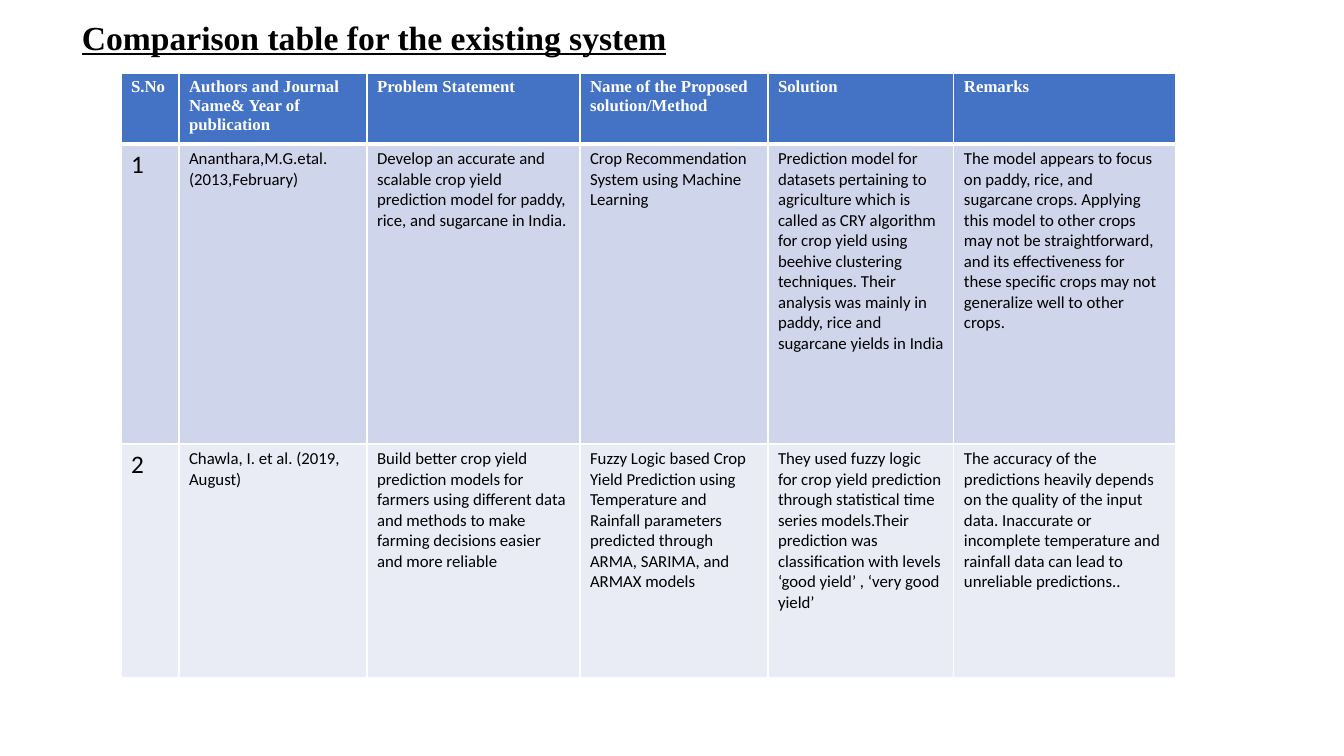
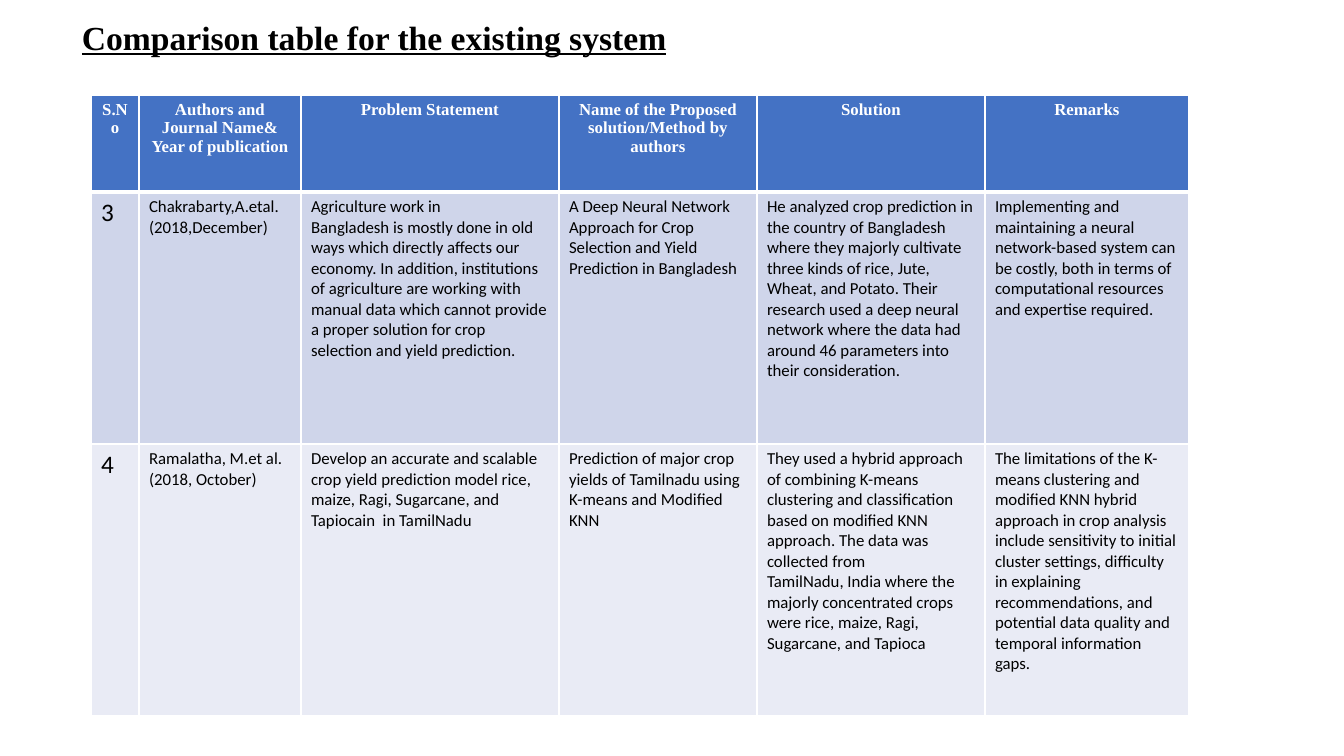
from lxml import etree
from pptx import Presentation
from pptx.dml.color import RGBColor
from pptx.enum.text import MSO_ANCHOR, PP_ALIGN
from pptx.oxml.ns import qn
from pptx.util import Emu, Pt

LEFT, CENTER = PP_ALIGN.LEFT, PP_ALIGN.CENTER
TOP = MSO_ANCHOR.TOP

TITLE = "Comparison table for the existing system"
TABLES = [
    {
        "origin": (121, 73),
        "columns": (58, 188, 213, 188, 186, 222),
        "heights": (71, 300, 234),
        "header_align": LEFT,
        "rows": [
            ("S.No", "Authors and Journal Name& Year of publication", "Problem Statement",
             "Name of the Proposed solution/Method", "Solution", "Remarks"),
            ("1", "Ananthara,M.G.etal.(2013,February)",
             "Develop an accurate and scalable crop yield prediction model for paddy, rice, "
             "and sugarcane in India.",
             "Crop Recommendation System using Machine Learning",
             "Prediction model for datasets pertaining to agriculture which is called as CRY "
             "algorithm for crop yield using beehive clustering techniques. Their analysis was "
             "mainly in paddy, rice and sugarcane yields in India",
             "The model appears to focus on paddy, rice, and sugarcane crops. Applying this "
             "model to other crops may not be straightforward, and its effectiveness for these "
             "specific crops may not generalize well to other crops."),
            ("2", "Chawla, I. et al. (2019, August)",
             "Build better crop yield prediction models for farmers using different data and "
             "methods to make farming decisions easier and more reliable",
             "Fuzzy Logic based Crop Yield Prediction using Temperature and Rainfall parameters "
             "predicted through ARMA, SARIMA, and ARMAX models",
             "They used fuzzy logic for crop yield prediction through statistical time series "
             "models.Their prediction was classification with levels ‘good yield’ , "
             "‘very good yield’",
             "The accuracy of the predictions heavily depends on the quality of the input data. "
             "Inaccurate or incomplete temperature and rainfall data can lead to unreliable "
             "predictions.."),
        ],
    },
    {
        "origin": (91, 95),
        "columns": (48, 162, 258, 198, 228, 204),
        "heights": (97, 252, 272),
        "header_align": CENTER,
        "rows": [
            ("S.No", "Authors and Journal Name& Year of publication", "Problem Statement",
             "Name of the Proposed solution/Method by authors", "Solution", "Remarks"),
            ("3", "Chakrabarty,A.etal.(2018,December)",
             "Agriculture work in\nBangladesh is mostly done in old ways which directly affects "
             "our economy. In addition, institutions of agriculture are working with manual data "
             "which cannot provide a proper solution for crop selection and yield prediction.",
             "A Deep Neural Network Approach for Crop Selection and Yield Prediction in Bangladesh",
             "He analyzed crop prediction in the country of Bangladesh where they majorly "
             "cultivate three kinds of rice, Jute, Wheat, and Potato. Their research used a deep "
             "neural network where the data had around 46 parameters into their consideration.",
             "Implementing and maintaining a neural network-based system can be costly, both in "
             "terms of computational resources and expertise required."),
            ("4", "Ramalatha, M.et al. (2018, October)",
             "Develop an accurate and scalable crop yield prediction model rice, maize, Ragi, "
             "Sugarcane, and Tapiocain  in TamilNadu",
             "Prediction of major crop yields of Tamilnadu using K-means and Modified KNN",
             "They used a hybrid approach of combining K-means clustering and classification "
             "based on modified KNN\napproach. The data was collected from\nTamilNadu, India "
             "where the majorly concentrated crops were rice, maize, Ragi, Sugarcane, and Tapioca",
             "The limitations of the K-means clustering and modified KNN hybrid approach in crop "
             "analysis include sensitivity to initial cluster settings, difficulty in explaining "
             "recommendations, and potential data quality and temporal information gaps."),
        ],
    },
]

COLORS = {"ink": "000000", "paper": "FFFFFF", "header": "4472C4",
          "odd": "CFD5EA", "even": "E9EBF5"}
ROW_FILLS = ("header", "odd", "even")
HEAD_FONT, BODY_FONT = "Times New Roman", "Calibri"
TITLE_BOX = (72, 12, 991, 50)
PAGE_SIZE = (1344, 756)
THIN, THICK = 1, 3


def px(length):
    """Turn pixels into EMU."""
    return Emu(round(length * 914400 / 100.8))


def rgb(name):
    """Look up a named colour."""
    return RGBColor.from_string(COLORS[name])


def write(frame, text, font, size, color, bold=False, underline=False, align=LEFT):
    """Fill a text frame with evenly formatted text."""
    frame.text = text
    frame.word_wrap = True
    for para in frame.paragraphs:
        para.alignment = align
        for span in para.runs:
            span.font.name, span.font.size = font, Pt(size)
            span.font.bold, span.font.underline = bold, underline
            span.font.color.rgb = rgb(color)


def set_borders(cell, top, bottom):
    """Draw white cell edges, widths in points."""
    properties = cell._tc.get_or_add_tcPr()
    for tag, width in (("lnL", THIN), ("lnR", THIN), ("lnT", top), ("lnB", bottom)):
        line = etree.SubElement(properties, qn(f"a:{tag}"), w=str(Pt(width)))
        fill = etree.SubElement(line, qn("a:solidFill"))
        etree.SubElement(fill, qn("a:srgbClr"), val=COLORS["paper"])


def add_title(page):
    """Add the shared underlined title."""
    box = page.shapes.add_textbox(*map(px, TITLE_BOX))
    write(box.text_frame, TITLE, HEAD_FONT, 24, "ink", bold=True, underline=True)


def add_comparison(page, content):
    """Add one comparison table with a header and two banded rows."""
    rows, columns, heights = content["rows"], content["columns"], content["heights"]
    bounds = (*content["origin"], sum(columns), sum(heights))
    table = page.shapes.add_table(len(rows), len(columns), *map(px, bounds)).table
    for column, width in zip(table.columns, columns):
        column.width = px(width)
    for row, height in zip(table.rows, heights):
        row.height = px(height)
    for row_index, texts in enumerate(rows):
        for column_index, text in enumerate(texts):
            cell = table.cell(row_index, column_index)
            set_borders(cell, THICK if row_index == 1 else THIN,
                        THICK if row_index == 0 else THIN)
            cell.fill.solid()
            cell.fill.fore_color.rgb = rgb(ROW_FILLS[row_index])
            cell.vertical_anchor = TOP
            if row_index == 0:
                write(cell.text_frame, text, HEAD_FONT, 12, "paper", bold=True,
                      align=content["header_align"])
            else:
                write(cell.text_frame, text, BODY_FONT, 18 if column_index == 0 else 12, "ink")


def main():
    """Build and save the deck."""
    deck = Presentation()
    deck.slide_width, deck.slide_height = map(px, PAGE_SIZE)
    for content in TABLES:
        page = deck.slides.add_slide(deck.slide_layouts[6])
        add_title(page)
        add_comparison(page, content)
    deck.save("out.pptx")


main()
